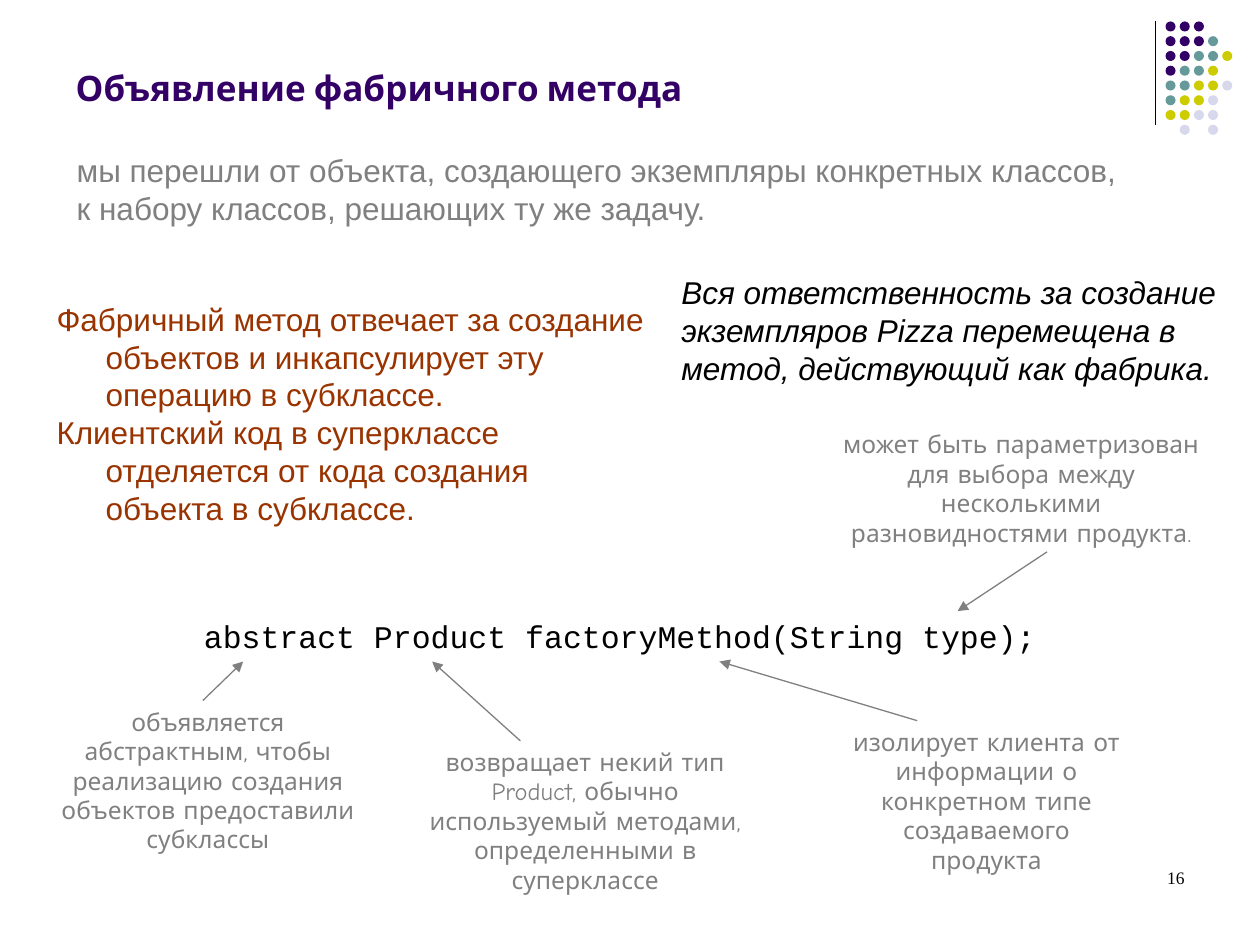
from dataclasses import dataclass

import pptx
import pptx.dml.color
import pptx.enum.shapes
import pptx.enum.text
import pptx.oxml.ns
import pptx.oxml.xmlchemy
import pptx.util

ALIGN = pptx.enum.text.PP_ALIGN
ANCHOR = pptx.enum.text.MSO_ANCHOR
SIZE = pptx.enum.text.MSO_AUTO_SIZE
SHAPE = pptx.enum.shapes.MSO_SHAPE
STRAIGHT = pptx.enum.shapes.MSO_CONNECTOR.STRAIGHT
COLS = 100  # the slide is a grid of 100 columns by 75 rows


@dataclass(frozen=True)
class Style:
    font: str
    size: int
    color: str
    bold: bool = False
    italic: bool = False


class Theme:
    black = "000000"
    gray = "808080"
    dots = {"P": "330066", "T": "669999", "Y": "CCCC00", "L": "D8D8EC"}
    title = Style("Cabin", 20, "330066", bold=True)
    lead = Style("Arial", 18, gray)
    aside = Style("Arial", 18, black, italic=True)
    points = Style("Arial", 18, "993300")
    code = Style("Courier New", 18, black)
    note = Style("Comic Neue", 14, gray)
    number = Style("Times New Roman", 10, black)


DOTS = ["PPP", "PPPT", "PPTTY", "PTTY", "TTYYL", "TYYL", "YYLL", " L L"]

# text, box, arrow start, arrow end
NOTES = [
    ("может быть параметризован для выбора между несколькими разновидностями продукта.",
     (65.7, 33.6, 30.7, 8), (83.1, 43.8), (76, 48.5)),
    ("изолирует клиента от информации о конкретном типе создаваемого продукта",
     (66.5, 57.2, 23.6, 8), (72.8, 57.2), (57.1, 52.5)),
    ("возвращает некий тип Product, обычно используемый методами, "
     "определенными в суперклассе",
     (31.1, 58.8, 30.7, 8), (41.3, 58.8), (34.3, 52.5)),
    ("объявляется абстрактным, чтобы реализацию создания объектов предоставили субклассы",
     (3.5, 55.6, 26, 10.4), (16.1, 55.6), (19.3, 52.5)),
]

deck = pptx.Presentation()
deck.slide_width = pptx.util.Inches(10)
deck.slide_height = pptx.util.Inches(7.5)


def grid(*cells):
    return [round(deck.slide_width * cell / COLS) for cell in cells]


def rgb(color):
    return pptx.dml.color.RGBColor.from_string(color)


def write(frame, texts, style, align=ALIGN.LEFT, hang=0):
    """Fill the frame with one paragraph per text, one run each."""
    for index, text in enumerate(texts):
        para = frame.add_paragraph() if index else frame.paragraphs[0]
        para.alignment = align
        if hang:
            props = para._p.get_or_add_pPr()
            props.set("marL", str(grid(hang)[0]))
            props.set("indent", str(-grid(hang)[0]))
        run = para.add_run()
        run.text = text
        font = run.font
        font.name, font.size = style.font, pptx.util.Pt(style.size)
        font.bold, font.italic = style.bold, style.italic
        font.color.rgb = rgb(style.color)


def label(slide, box, texts, style, wrap=True, **layout):
    frame = slide.shapes.add_textbox(*grid(*box)).text_frame
    frame.word_wrap = wrap
    write(frame, texts, style, **layout)


def rule(slide, start, end, color, arrow=False):
    line = slide.shapes.add_connector(STRAIGHT, *grid(*start, *end))
    line.line.color.rgb = rgb(color)
    line.line.width = pptx.util.Pt(0.75)
    props = line._element.spPr
    make = pptx.oxml.xmlchemy.OxmlElement
    if arrow:
        tail = make("a:tailEnd")
        tail.set("type", "triangle")
        props.find(pptx.oxml.ns.qn("a:ln")).append(tail)
    props.append(make("a:effectLst"))


def corner(slide, box):
    """Draw the rule and the dots beside it."""
    left, top, width, height = box
    rule(slide, (left, top), (left, top + 8.2), Theme.black)
    size, inset = 0.8, 0.8
    across = (width - inset - size) / (max(map(len, DOTS)) - 1)
    down = (height - size) / (len(DOTS) - 1)
    for row, marks in enumerate(DOTS):
        for col, mark in enumerate(marks):
            if mark == " ":
                continue
            place = grid(left + inset + col * across, top + row * down, size, size)
            dot = slide.shapes.add_shape(SHAPE.OVAL, *place)
            dot.shadow.inherit = False
            dot.fill.solid()
            dot.fill.fore_color.rgb = rgb(Theme.dots[mark])
            dot.line.fill.background()


def head(slide, box):
    title = slide.shapes.title
    title.left, title.top, title.width, title.height = grid(*box)
    frame = title.text_frame
    frame.auto_size = SIZE.NONE
    frame.vertical_anchor = ANCHOR.BOTTOM
    write(frame, ["Объявление фабричного метода"], Theme.title)


def claims(slide, box):
    """Place the lead across the top, the points at left, the aside at right."""
    left, top, width, height = box
    label(slide, (left + 1.6, top, 85.8, 7),
          ["мы перешли от объекта, создающего экземпляры конкретных классов, "
           "к набору классов, решающих ту же задачу."], Theme.lead)
    label(slide, (left + width / 2 + 2.5, top + 9.7, 48, 10),
          ["Вся ответственность за создание экземпляров Pizza перемещена "
           "в метод, действующий как фабрика."], Theme.aside)
    label(slide, (left, top + height - 19, 48.8, 19),
          ["Фабричный метод отвечает за создание объектов и инкапсулирует "
           "эту операцию в субклассе.",
           "Клиентский код в суперклассе отделяется от кода создания "
           "объекта в субклассе."], Theme.points, hang=3.9)


def code(slide, box):
    """Place the declaration and the notes that point at its parts."""
    label(slide, box, ["abstract Product factoryMethod(String type);"],
          Theme.code, wrap=False)
    for text, place, start, end in NOTES:
        label(slide, place, [text], Theme.note, align=ALIGN.CENTER)
        rule(slide, start, end, Theme.gray, arrow=True)


def main():
    slide = deck.slides.add_slide(deck.slide_layouts.get_by_name("Title Only"))
    corner(slide, (91.7, 1.7, 6.1, 9))
    head(slide, (5, 1.3, 86, 7.8))
    claims(slide, (3.5, 11.5, 94.2, 30.8))
    code(slide, (15.2, 48.5, 68, 4))
    label(slide, (71.7, 68.3, 23.3, 5), ["16"], Theme.number, align=ALIGN.RIGHT)
    deck.save("out.pptx")


if __name__ == "__main__":
    main()
